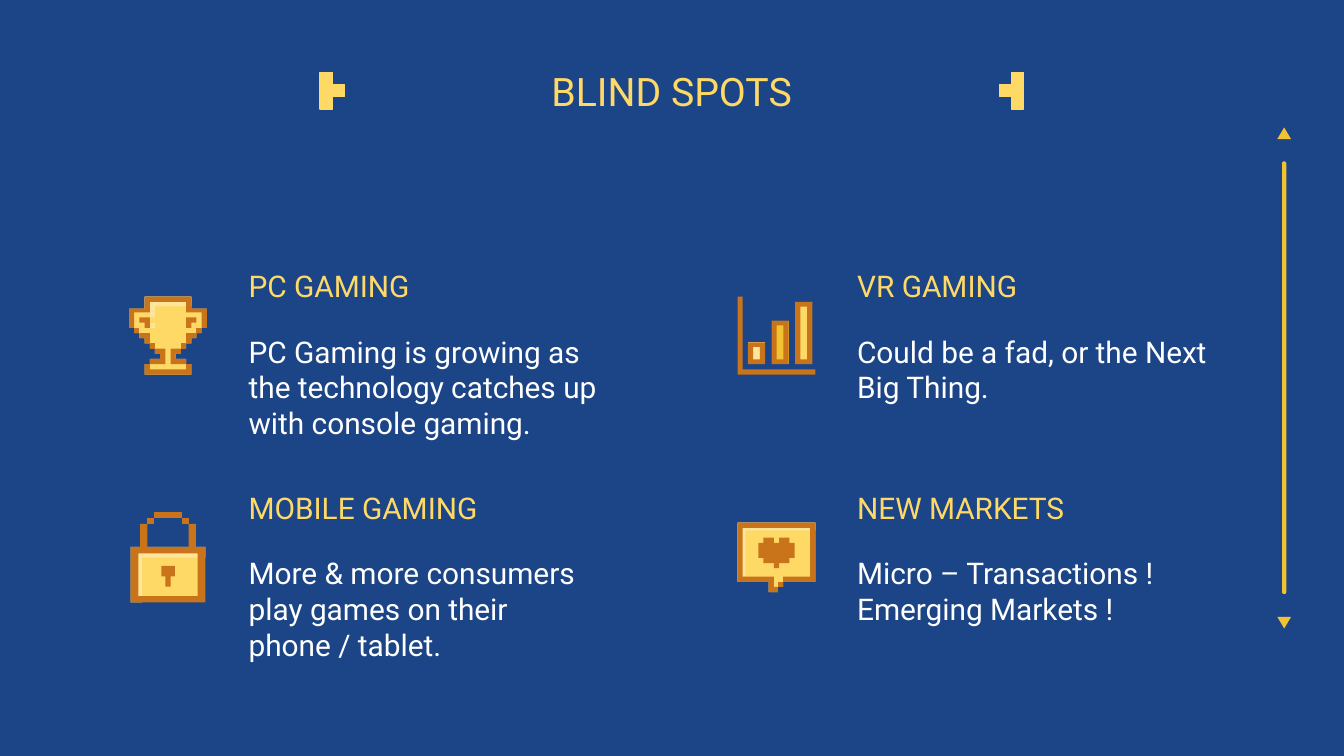
from typing import NamedTuple

from pptx import Presentation
from pptx.dml.color import RGBColor
from pptx.enum.shapes import MSO_SHAPE
from pptx.enum.text import MSO_ANCHOR, PP_ALIGN
from pptx.util import Cm, Pt

NAVY, WHITE = "1C4587", "FFFFFF"
GOLD, PALE, AMBER, BROWN = "FFD966", "FFE599", "F1C232", "C9741B"
CELL = 1.47 / 15
Loop = list[tuple[float, float]]


class Patch(NamedTuple):
    """A filled area made of one or more closed loops."""
    fill: str
    loops: list[Loop]


class Icon(NamedTuple):
    """A set of patches placed from its top left corner in cm."""
    left: float
    top: float
    layers: list[Patch]


class Topic(NamedTuple):
    """A heading and its body, placed by column and row."""
    col: int
    row: int
    head: str
    body: str


def trace(x: float, y: float, *turns: float) -> Loop:
    """Walk right-angled turns from a corner: a new y, a new x, and so on."""
    loop = [(x, y)]
    for step, turn in enumerate(turns):
        x, y = (turn, y) if step % 2 else (x, turn)
        loop.append((x, y))
    return loop


def box(x: float, y: float, wide: float, high: float) -> Loop:
    """Return the corners of a rectangle."""
    return trace(x, y, y + high, x + wide, y)


def pair(loop: Loop) -> list[Patch]:
    """Return a brown patch and its mirror across the trophy."""
    return [Patch(BROWN, [loop]), Patch(BROWN, [[(15 - x, y) for x, y in loop]])]


def bar(slot: int, top: float, fill: str) -> list[Patch]:
    """Return a framed bar standing on the axis."""
    x, high = 2 + 4.55 * slot, 13 - top
    rim = box(x, top, 3.3, high)
    hole = box(x + 1, top + 0.9, 1.3, high - 1.8)
    return [Patch(fill, [rim]), Patch(BROWN, [hole, rim])]


def trophy() -> list[Patch]:
    """Return the patches of the trophy."""
    cup = trace(3, 0, 2.3, 0, 6, 1, 7, 2, 8, 3, 9, 4, 10, 5, 11, 6, 12, 4, 13, 3, 15,
                12, 13, 11, 12, 9, 11, 10, 10, 11, 9, 12, 8, 13, 7, 14, 6, 15, 2.3, 12, 0)
    return [
        Patch(GOLD, [cup]),
        Patch(PALE, [trace(3, 0, 3, 4, 4, 5, 1.8, 12, 0)]),
        Patch(PALE, [box(3, 5, 2, 1)]),
        *pair(box(4, 9, 1, 1)),
        *pair(trace(5, 10, 11, 6, 12, 4, 13, 7, 10)),
        *pair(box(1, 6, 1, 1)),
        *pair(trace(2, 7, 8, 3, 9, 4, 7)),
        *pair(trace(2, 4, 5, 3, 6, 4, 4)),
        Patch(BROWN, [trace(3, 13, 15, 12, 13, 11, 14, 4, 13)]),
        Patch(BROWN, [trace(3, 0, 2.3, 0, 6, 1, 3, 4, 1, 11, 3, 14, 6, 15, 2.3, 12, 0)]),
    ]


def graph() -> list[Patch]:
    """Return the patches of the bar graph."""
    axis = Patch(BROWN, [trace(0, 0, 15, 15, 14, 1, 0)])
    return [*bar(0, 8.8, PALE), *bar(1, 4.6, AMBER), *bar(2, 1, GOLD), axis]


def lock() -> list[Patch]:
    """Return the patches of the padlock."""
    rim = trace(1.8, 2.3, 6.7, 0, 17.4, 14.4, 6.7, 12.6, 2.3, 11.2, 6.7, 3.2, 2.3)
    return [
        Patch(GOLD, [box(0, 6.7, 14.4, 10.7)]),
        Patch(PALE, [trace(0, 6.7, 17.4, 2.2, 8.8, 14.4, 6.7)]),
        Patch(BROWN, [box(4.5, 0, 5.4, 1.1)]),
        Patch(BROWN, [box(1.5, 8, 11.4, 8.2), rim]),
        Patch(BROWN, [box(3.2, 1.1, 1.3, 1.2)]),
        Patch(BROWN, [box(9.9, 1.1, 1.3, 1.2)]),
        Patch(BROWN, [trace(5.9, 10.4, 12.4, 6.7, 14.4, 7.7, 12.4, 8.5, 10.4)]),
    ]


def bubble() -> list[Patch]:
    """Return the patches of the speech bubble with a heart."""
    heart = trace(5, 2.9, 3.9, 4, 6.8, 5, 7.8, 7, 8.8, 8, 7.8, 10, 6.8, 11, 3.9,
                  10, 2.9, 8, 3.9, 7, 2.9)
    rim = trace(0, 0, 11.4, 6, 13.4, 7.8, 12.4, 7, 10.4, 1, 1, 14, 10.4, 8.8, 11.4, 15, 0)
    return [
        Patch(GOLD, [trace(0, 0, 11.4, 6, 13.4, 7.8, 12.4, 8.8, 11.4, 15, 0)]),
        Patch(PALE, [trace(0, 0, 11.4, 1.5, 1.5, 15, 0)]),
        Patch(BROWN, [heart]),
        Patch(BROWN, [box(7.8, 11.4, 1, 1)]),
        Patch(BROWN, [rim]),
    ]


TOPICS = [
    Topic(0, 0, "PC GAMING",
          "PC Gaming is growing as the technology catches up with console gaming."),
    Topic(0, 1, "MOBILE GAMING", "More & more consumers play games on their phone / tablet."),
    Topic(1, 0, "VR GAMING", "Could be a fad, or the Next Big Thing."),
    Topic(1, 1, "NEW MARKETS", "Micro – Transactions !\nEmerging Markets !"),
]
ICONS = [Icon(13.94, 5.61, graph()), Icon(13.94, 9.88, bubble()),
         Icon(2.44, 5.61, trophy()), Icon(2.47, 9.68, lock())]


def shade(hue: str) -> RGBColor:
    """Turn a hex string into a colour."""
    return RGBColor.from_string(hue)


def paint(shape, hue: str, edge: bool = False):
    """Fill a shape, with a thin edge or none, and drop its shadow."""
    shape.shadow.inherit = False
    shape.fill.solid()
    shape.fill.fore_color.rgb = shade(hue)
    if edge:
        shape.line.color.rgb = shade(hue)
        shape.line.width = Pt(0.75)
    else:
        shape.line.fill.background()
    return shape


def write(slide, text: str, area: tuple, size: float, hue: str,
          anchor=MSO_ANCHOR.BOTTOM, align=PP_ALIGN.LEFT) -> None:
    """Add a wrapped text box."""
    frame = slide.shapes.add_textbox(*map(Cm, area)).text_frame
    frame.word_wrap = True
    frame.vertical_anchor = anchor
    frame.margin_left = frame.margin_right = Cm(0.25)
    frame.margin_top = frame.margin_bottom = Cm(0.25)
    frame.text = text
    for line in frame.paragraphs:
        line.alignment = align
        for run in line.runs:
            run.font.name = "Roboto"
            run.font.size = Pt(size)
            run.font.color.rgb = shade(hue)


def draw(slide, icon: Icon) -> None:
    """Draw an icon as one group of freeforms."""
    shapes = []
    for patch in icon.layers:
        loops = [[(Cm(icon.left + x * CELL), Cm(icon.top + y * CELL)) for x, y in loop]
                 for loop in patch.loops]
        pen = slide.shapes.build_freeform(*loops[0][0])
        pen.add_line_segments(loops[0][1:])
        for loop in loops[1:]:
            pen.move_to(*loop[0])
            pen.add_line_segments(loop[1:])
        shapes.append(paint(pen.convert_to_shape(), patch.fill))
    slide.shapes.add_group_shape(shapes)


def notch(slide, left: float, side: int) -> None:
    """Draw three stacked squares with a fourth beside the middle one."""
    size = 0.23
    spots = [(0, 0), (0, 1), (0, 2), (side, 1)]
    slide.shapes.add_group_shape([
        paint(slide.shapes.add_shape(MSO_SHAPE.RECTANGLE, Cm(left + x * size),
                                     Cm(1.37 + y * size), Cm(size), Cm(size)), GOLD, True)
        for x, y in spots])


def scroll(slide) -> None:
    """Draw the scroll bar and its two arrows."""
    rail = slide.shapes.add_shape(MSO_SHAPE.ROUNDED_RECTANGLE,
                                  Cm(24.23), Cm(3.05), Cm(0.08), Cm(8.18))
    rail.adjustments[0] = 0.5
    paint(rail, AMBER)
    for top, turn in ((2.41, 0), (11.66, 180)):
        arrow = slide.shapes.add_shape(MSO_SHAPE.ISOSCELES_TRIANGLE,
                                       Cm(24.14), Cm(top), Cm(0.26), Cm(0.22))
        arrow.rotation = turn
        paint(arrow, AMBER)


def main() -> None:
    """Build the slide and save it."""
    deck = Presentation()
    deck.slide_width, deck.slide_height = Cm(25.4), Cm(14.29)
    slide = deck.slides.add_slide(deck.slide_layouts[6])
    slide.background.fill.solid()
    slide.background.fill.fore_color.rgb = shade(NAVY)
    write(slide, "BLIND SPOTS", (0.86, 0.81, 23.67, 1.6), 21, GOLD, align=PP_ALIGN.CENTER)
    for topic in TOPICS:
        left, top = 4.45 + 11.5 * topic.col, 4.9 + 4.19 * topic.row
        write(slide, topic.head, (left, top, 7.29, 1.09), 16, GOLD)
        write(slide, topic.body, (left, top + 1.15, 7.29, 2.06), 16, WHITE, MSO_ANCHOR.TOP)
    for icon in ICONS:
        draw(slide, icon)
    scroll(slide)
    notch(slide, 6.05, 1)
    notch(slide, 19.12, -1)
    deck.save("out.pptx")


if __name__ == "__main__":
    main()
